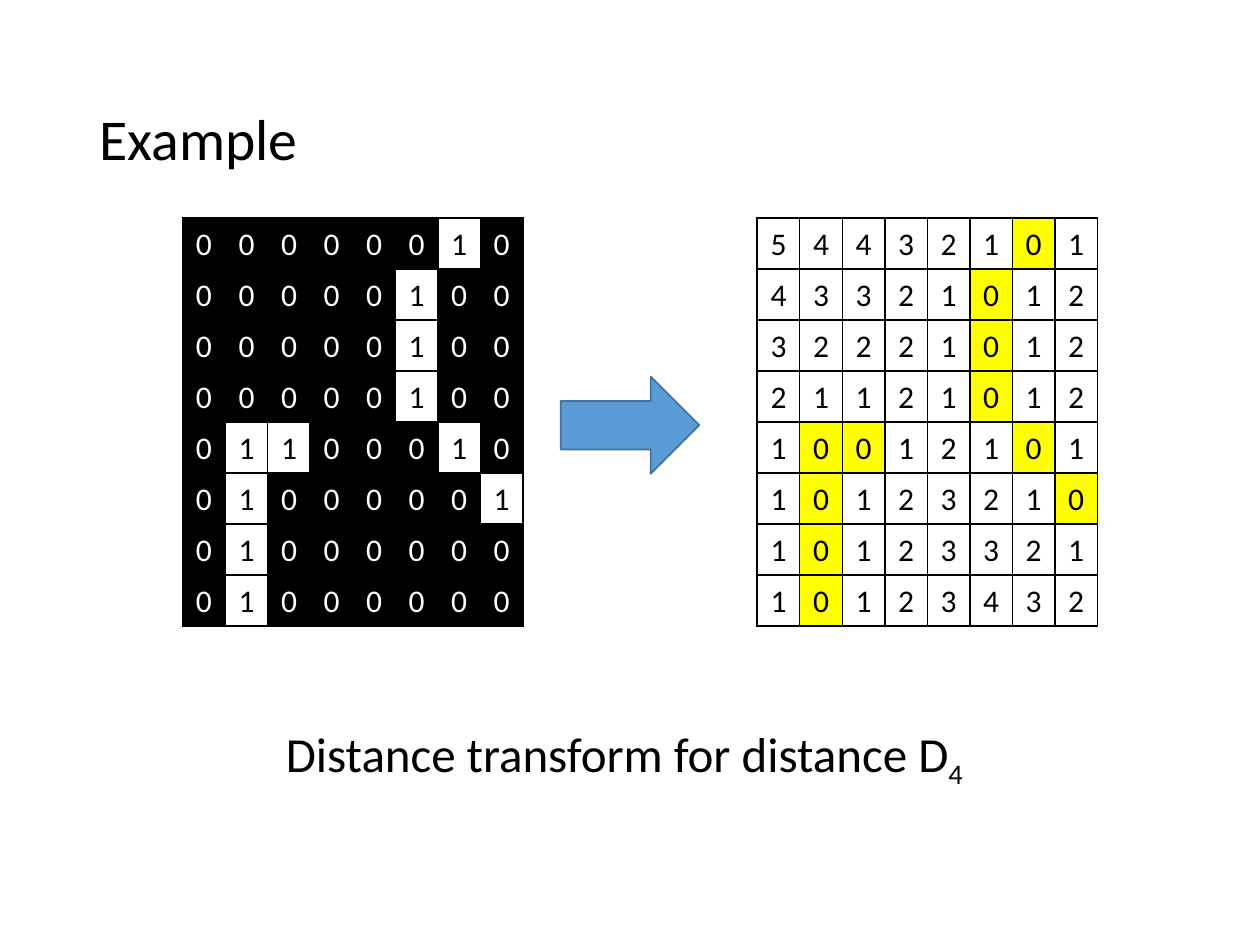
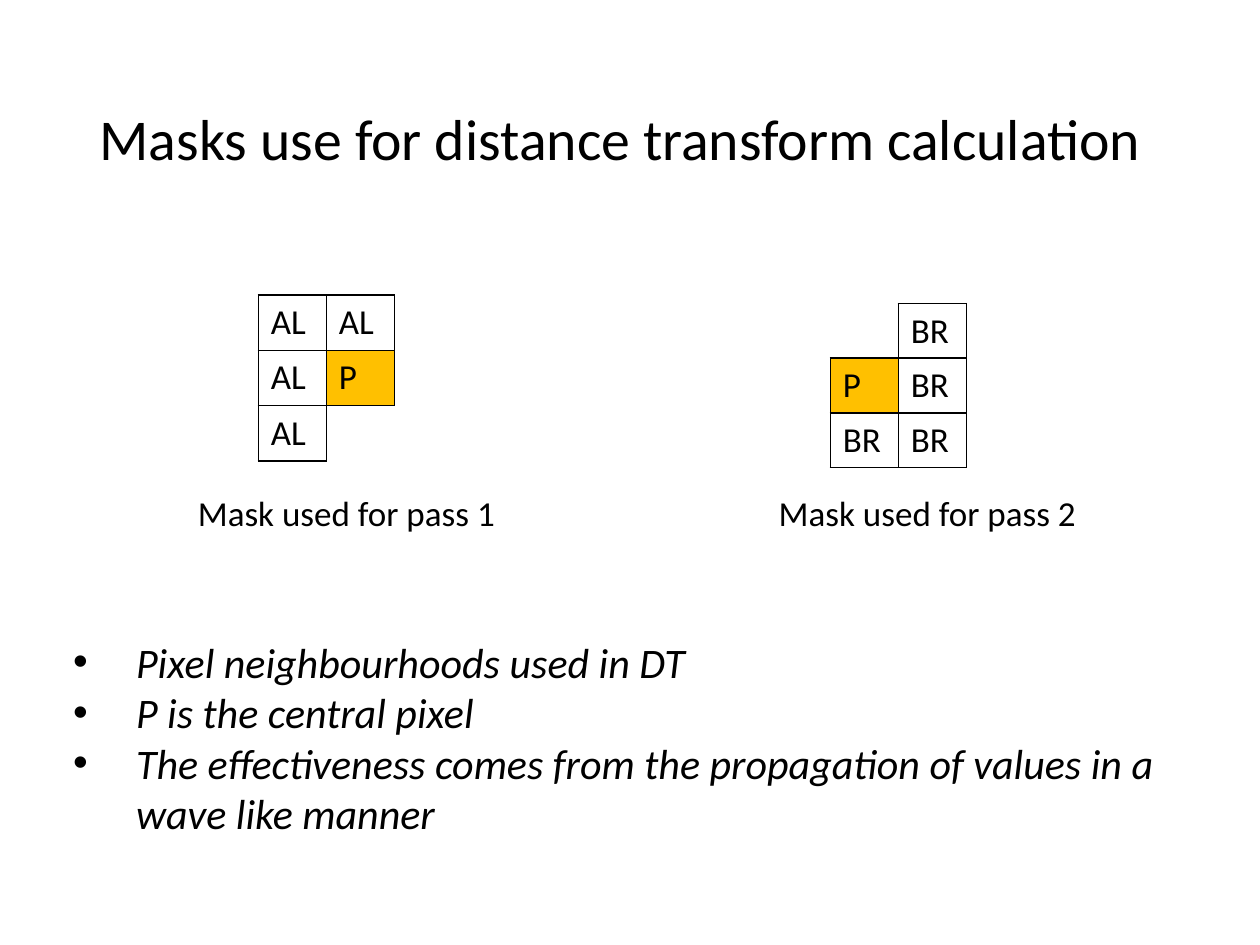
"""Builds two slides on the distance transform and its masks."""
from lxml import etree
from pptx import Presentation
from pptx.dml.color import RGBColor
from pptx.enum.shapes import MSO_SHAPE
from pptx.enum.text import MSO_ANCHOR, MSO_AUTO_SIZE, PP_ALIGN
from pptx.oxml.ns import qn
from pptx.util import Pt

LEFT, CENTER = PP_ALIGN.LEFT, PP_ALIGN.CENTER
TOP, MIDDLE = MSO_ANCHOR.TOP, MSO_ANCHOR.MIDDLE
NO_FIT = MSO_AUTO_SIZE.NONE
ARROW = MSO_SHAPE.RIGHT_ARROW

SCALE = 9144
SIZE = (1000, 750)
BLACK, WHITE, YELLOW, AMBER = "000000", "FFFFFF", "FFFF00", "FFC000"
BLUE, NAVY = "5B9BD5", "43739E"
PLAIN = "{2D5ABB26-0587-4C30-8999-92F81FD0307C}"
TITLE_BOX = (69, 40, 862, 145)
SIDES = {"L": (0, -1), "R": (0, 1), "T": (-1, 0), "B": (1, 0)}

HEAD = {"name": "Calibri", "size": Pt(33)}
NOTE = {"name": "Calibri", "size": Pt(28)}
ITEM = {"name": "Calibri", "size": Pt(24), "italic": True}
LABEL = {"name": "Calibri", "size": Pt(20)}
DIGIT = {"name": "Calibri", "size": Pt(18)}

TITLES = ("Example", "Masks use for distance transform calculation")
PIXELS = ["00000010", "00000100", "00000100", "00000100",
          "01100010", "01000001", "01000000", "01000000"]
STEPS = ["54432101", "43321012", "32221012", "21121012",
         "10012101", "10123210", "10123321", "10123432"]
GRIDS = [
    ((145, 173, 270, 324), PIXELS, {"0": BLACK, "1": WHITE}),
    ((601, 173, 270, 324), STEPS, {"0": YELLOW}),
]
ARROW_BOX = (445, 299, 110, 77)
NOTE_BOX = (217, 569, 565, 57)
NOTE_TEXT, NOTE_SUB = "Distance transform for distance D", "4"

MASKS = [
    ((205, 234, 108, 132), [["AL", "AL"], ["AL", "P"], ["AL", ""]],
     (123, 385, 304, 44), "Mask used for pass 1"),
    ((659, 241, 108, 130), [["", "BR"], ["P", "BR"], ["BR", "BR"]],
     (584, 385, 304, 44), "Mask used for pass 2"),
]
LIST_BOX = (48, 500, 911, 172)
POINTS = [
    "Pixel neighbourhoods used in DT",
    "P is the central pixel",
    "The effectiveness comes from the propagation of values in a wave like manner",
]


def px(num):
    return round(num * SCALE)


def paint(part, code):
    part.solid()
    part.fore_color.rgb = RGBColor.from_string(code)


def place(shape, box):
    for key, val in zip(("left", "top", "width", "height"), box):
        setattr(shape, key, px(val))


def style(font, form, code=BLACK):
    for key, val in form.items():
        setattr(font, key, val)
    paint(font.fill, code)


def write(para, text, form, align=LEFT, code=BLACK):
    para.alignment = align
    run = para.add_run()
    run.text = text
    style(run.font, form, code)
    return run


def start(deck, kind, title):
    slide = deck.slides.add_slide(deck.slide_layouts[kind])
    head = slide.shapes.title
    place(head, TITLE_BOX)
    frame = head.text_frame
    frame.auto_size, frame.vertical_anchor = NO_FIT, MIDDLE
    frame.paragraphs[0].line_spacing = 0.9
    write(frame.paragraphs[0], title, HEAD)
    return slide


def text_box(slide, box, wrap):
    frame = slide.shapes.add_textbox(*map(px, box)).text_frame
    frame.word_wrap = wrap
    return frame.paragraphs[0]


def border(cell, side):
    line = etree.SubElement(cell._tc.get_or_add_tcPr(), qn("a:ln" + side), w=str(Pt(1)))
    fill = etree.SubElement(line, qn("a:solidFill"))
    etree.SubElement(fill, qn("a:srgbClr"), val=BLACK)


def add_grid(slide, box, rows, fills, form, align, anchor, pad):
    high, wide = len(rows), len(rows[0])
    item = slide.shapes.add_table(high, wide, *map(px, box))
    next(item.element.iter(qn("a:tableStyleId"))).text = PLAIN
    table = item.table
    table.first_row = table.horz_banding = False
    for col in table.columns:
        col.width = px(box[2] / wide)
    for row in table.rows:
        row.height = px(box[3] / high)
    full = {(r, c) for r in range(high) for c in range(wide) if rows[r][c]}
    for r, row in enumerate(rows):
        for c, text in enumerate(row):
            cell = table.cell(r, c)
            cell.margin_left = cell.margin_right = px(pad)
            cell.margin_top, cell.margin_bottom = px(5), px(3)
            cell.vertical_anchor = anchor
            for side, (down, over) in SIDES.items():
                if full & {(r, c), (r + down, c + over)}:
                    border(cell, side)
            if not text:
                cell.fill.background()
                continue
            fill = fills.get(text, WHITE)
            paint(cell.fill, fill)
            code = WHITE if fill == BLACK else BLACK
            write(cell.text_frame.paragraphs[0], text, form, align, code)


def add_list(body, points):
    place(body, LIST_BOX)
    frame = body.text_frame
    frame.auto_size, frame.vertical_anchor = NO_FIT, TOP
    for num, text in enumerate(points):
        para = frame.add_paragraph() if num else frame.paragraphs[0]
        para.space_before = Pt(0)
        prop = para._p.get_or_add_pPr()
        prop.set("marL", str(px(50)))
        prop.set("indent", str(px(-50)))
        etree.SubElement(prop, qn("a:buFont"), typeface="Arial")
        etree.SubElement(prop, qn("a:buChar"), char="•")
        write(para, text, ITEM)


def example(deck):
    slide = start(deck, 5, TITLES[0])
    for box, rows, fills in GRIDS:
        add_grid(slide, box, rows, fills, DIGIT, CENTER, MIDDLE, 3)
    para = text_box(slide, NOTE_BOX, False)
    write(para, NOTE_TEXT, NOTE)
    sub = write(para, NOTE_SUB, NOTE)
    sub._r.get_or_add_rPr().set("baseline", "-25000")
    arrow = slide.shapes.add_shape(ARROW, *map(px, ARROW_BOX))
    arrow.shadow.inherit = False
    paint(arrow.fill, BLUE)
    paint(arrow.line.fill, NAVY)
    arrow.line.width = Pt(1)


def masks(deck):
    slide = start(deck, 1, TITLES[1])
    for box, rows, spot, text in MASKS:
        add_grid(slide, box, rows, {"P": AMBER}, LABEL, LEFT, TOP, 10)
        write(text_box(slide, spot, True), text, LABEL, CENTER)
    add_list(slide.placeholders[1], POINTS)


def main():
    deck = Presentation()
    deck.slide_width, deck.slide_height = map(px, SIZE)
    example(deck)
    masks(deck)
    deck.save("out.pptx")


if __name__ == "__main__":
    main()
